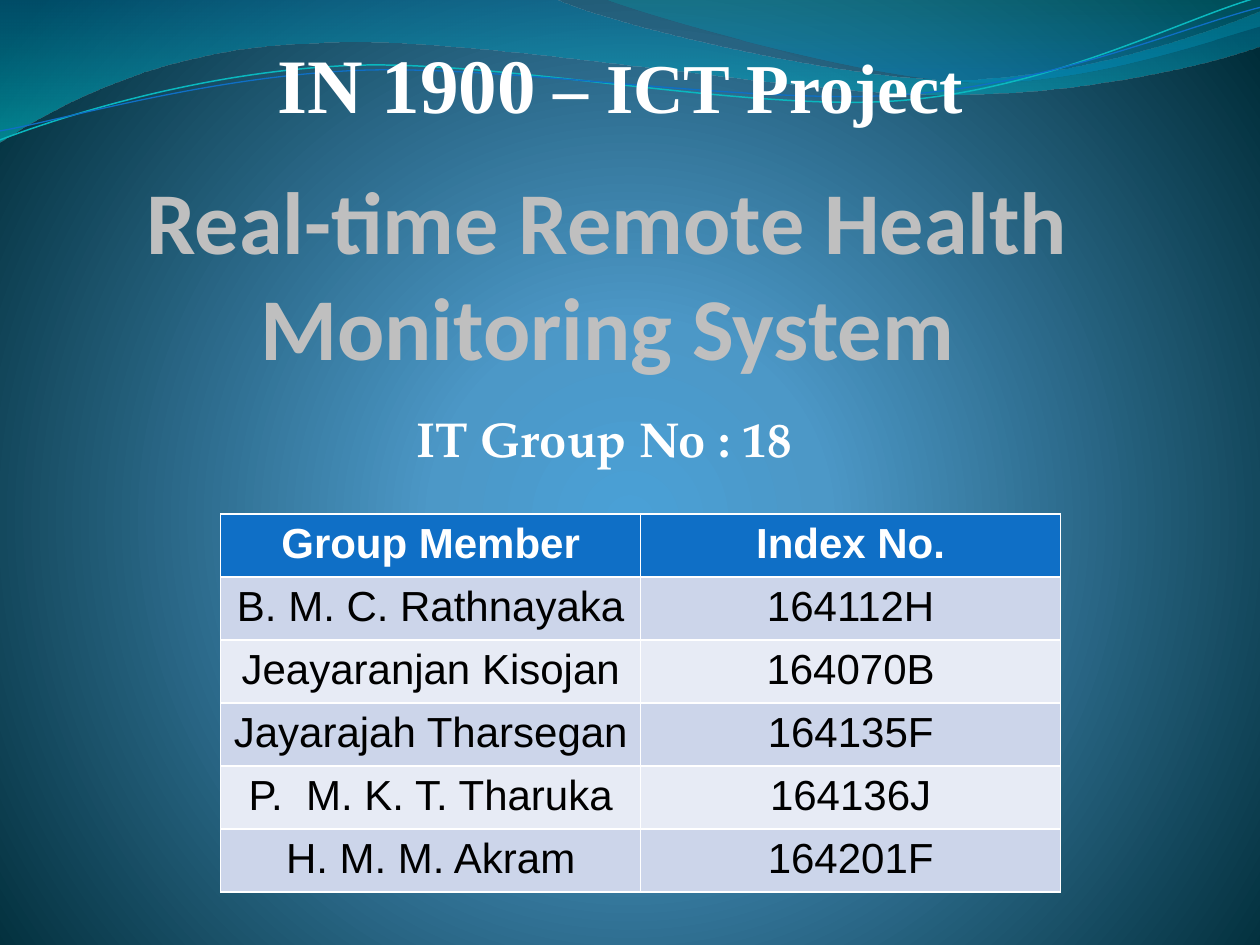
from math import cos, radians, sin

from lxml import etree
from pptx import Presentation
from pptx.dml.color import RGBColor
from pptx.enum.text import MSO_ANCHOR, PP_ALIGN
from pptx.oxml.ns import qn
from pptx.util import Cm, Pt

CENTER = PP_ALIGN.CENTER
TOP, BOTTOM = MSO_ANCHOR.TOP, MSO_ANCHOR.BOTTOM

WHITE = RGBColor(0xFF, 0xFF, 0xFF)
BLACK = RGBColor(0x00, 0x00, 0x00)
SILVER = RGBColor(0xBF, 0xBF, 0xBF)
BLUE = RGBColor(0x0F, 0x6F, 0xC6)
CYAN = RGBColor(0x0A, 0xB8, 0xBF)
ROW_DARK = RGBColor(0xCC, 0xD5, 0xEA)
ROW_LIGHT = RGBColor(0xE7, 0xEB, 0xF5)
SKY = RGBColor(0x4A, 0xA0, 0xD6)
STEEL = RGBColor(0x4C, 0x98, 0xC7)
NIGHT = RGBColor(0x00, 0x2C, 0x38)
DEEP = RGBColor(0x00, 0x74, 0xA1)
AQUA = RGBColor(0x00, 0xC6, 0xCF)
TEAL = RGBColor(0x00, 0xA1, 0xA9)
AZURE = RGBColor(0x00, 0x8B, 0xBF)

RIPPLE_TILT = -2.7
WAVES = [
    ([(0, 0), (11.18, -0.03), (12.09, 0.43, 16.87, 1.6, 19.25, 1.6),
      (21.67, 1.6, 24.33, 0.66, 25.4, 0.23), (25.43, 0.91),
      (24.97, 1.12, 22.1, 1.93, 18.95, 1.9), (15.8, 1.9, 9.7, 0.71, 6.53, 0.86),
      (3.28, 0.91, 1.17, 2.11, -0.03, 2.87), (0, 0)],
     [(0, DEEP, 45), (100, AQUA, 55)]),
    ([(12.17, -0.03), (12.93, 0.28, 17.32, 1.57, 19.53, 1.65),
      (21.74, 1.75, 24.41, 0.81, 25.4, 0.53), (25.4, 0), (12.17, -0.03)],
     [(0, TEAL, 30), (80, AZURE, 45)]),
]
RIPPLES = [
    ([(0, 2.82), (1.22, 2.36, 4.01, 1.45, 7.04, 1.32),
      (10.03, 1.19, 15.06, 2.26, 18.11, 2.03),
      (21.16, 1.8, 23.83, 0.38, 25.35, -0.05)], (12.67, 1.46), CYAN, 0.85),
    ([(0, 2.64), (1.19, 2.44, 4.17, 1.55, 7.19, 1.42),
      (10.24, 1.3, 15.16, 2.13, 18.21, 1.91),
      (21.23, 1.7, 23.9, 0.53, 25.4, 0.15)], (12.69, 1.5), BLUE, 0.75),
]
MEMBERS = [
    ("Group Member", "Index No."),
    ("B. M. C. Rathnayaka", "164112H"),
    ("Jeayaranjan Kisojan", "164070B"),
    ("Jayarajah Tharsegan", "164135F"),
    ("P.  M. K. T. Tharuka", "164136J"),
    ("H. M. M. Akram", "164201F"),
]


def set_gradient(fill, element, stops, circle=None):
    """Fill with (position, colour, opacity) stops, downwards or round a circle."""
    fill.gradient()
    grad = next(element.iter(qn("a:gradFill")))
    for child in list(grad):
        grad.remove(child)
    stop_list = etree.SubElement(grad, qn("a:gsLst"))
    for position, color, opacity in stops:
        gs = etree.SubElement(stop_list, qn("a:gs"), pos=str(position * 1000))
        clr = etree.SubElement(gs, qn("a:srgbClr"), val=str(color))
        if opacity < 100:
            etree.SubElement(clr, qn("a:alpha"), val=str(opacity * 1000))
    if circle:
        shade = etree.SubElement(grad, qn("a:path"), path="circle")
        sides = {side: str(value * 1000) for side, value in zip("ltrb", circle)}
        etree.SubElement(shade, qn("a:fillToRect"), **sides)
    else:
        etree.SubElement(grad, qn("a:lin"), ang="5400000", scaled="1")


def turn(segments, center, degrees):
    """Rotate segments clockwise about a centre."""
    cx, cy = center
    c, s = cos(radians(degrees)), sin(radians(degrees))
    turned = []
    for seg in segments:
        pairs = [(x - cx, y - cy) for x, y in zip(seg[::2], seg[1::2])]
        turned.append(tuple(v for x, y in pairs
                            for v in (cx + x * c - y * s, cy + x * s + y * c)))
    return turned


def add_curve(shapes, left, top, segments, close):
    """Draw a freeform of lines and cubic curves, in centimetres from the corner."""
    points = [(left + Cm(x), top + Cm(y))
              for seg in segments for x, y in zip(seg[::2], seg[1::2])]
    builder = shapes.build_freeform(*points[0])
    builder.add_line_segments(points[1:], close=close)
    sp = builder.convert_to_shape()
    sp.shadow.inherit = False
    lines = list(sp.element.iter(qn("a:lnTo")))
    for seg in segments[1:]:
        steps, lines = lines[:len(seg) // 2], lines[len(seg) // 2:]
        if len(steps) == 3:
            curve = etree.Element(qn("a:cubicBezTo"))
            steps[0].addprevious(curve)
            for step in steps:
                curve.append(step[0])
                step.getparent().remove(step)
    return sp


def add_backdrop(s, left, top):
    """Paint the background, the waves and the ripples along the top edge."""
    set_gradient(s.background.fill, s.element,
                 [(0, SKY, 100), (25, STEEL, 100), (100, NIGHT, 100)],
                 circle=(10, 110, 10, 100))
    for segments, stops in WAVES:
        sp = add_curve(s.shapes, left, top, segments, True)
        set_gradient(sp.fill, sp.element, stops)
        sp.line.fill.background()
    group = s.shapes.add_group_shape()
    for segments, center, color, width in RIPPLES:
        level = turn(segments, center, -RIPPLE_TILT)
        sp = add_curve(group.shapes, left, top, level, False)
        sp.rotation = RIPPLE_TILT
        sp.fill.background()
        sp.line.color.rgb = color
        sp.line.width = Pt(width)


def add_run(p, text, font, size, color, bold=True):
    """Add one formatted run to a paragraph."""
    r = p.add_run()
    r.text = text
    r.font.name = font
    r.font.size = Pt(size)
    r.font.bold = bold
    r.font.color.rgb = color


def add_heading(s, left, top, width, height, runs, font, color,
                anchor=TOP, inset=Cm(0.13), before=0, indent=Cm(0.13)):
    """Place a centred line of (text, size) runs in the given box."""
    tf = s.shapes.add_textbox(left, top, width, height).text_frame
    tf.word_wrap = True
    tf.vertical_anchor = anchor
    tf.margin_left, tf.margin_right = 0, Cm(0.05)
    tf.margin_top = tf.margin_bottom = inset
    p = tf.paragraphs[0]
    p.alignment = CENTER
    p.space_before = Pt(before)
    p._p.get_or_add_pPr().set("marR", str(indent))
    for text, size in runs:
        add_run(p, text, font, size, color)


def add_members(s, left, top, width, height, row_height):
    """Place the table of group members."""
    rows, cols = len(MEMBERS), len(MEMBERS[0])
    frame = s.shapes.add_table(rows, cols, left, top, width, height)
    for i, values in enumerate(MEMBERS):
        header = i == 0
        band = BLUE if header else (ROW_DARK if i % 2 else ROW_LIGHT)
        frame.table.rows[i].height = row_height
        for j, text in enumerate(values):
            cell = frame.table.cell(i, j)
            cell.fill.solid()
            cell.fill.fore_color.rgb = band
            p = cell.text_frame.paragraphs[0]
            p.alignment = CENTER
            add_run(p, text, "Arial", 24, WHITE if header else BLACK, header)
    frame.height = height


def main():
    """Build the title slide."""
    prs = Presentation()
    prs.slide_width, prs.slide_height = Cm(25.4), Cm(19.05)
    s = prs.slides.add_slide(prs.slide_layouts[6])
    add_backdrop(s, 0, 0)
    add_heading(s, Cm(2.74), Cm(3.38), Cm(19.05), Cm(4.24),
                [("Real-time Remote Health Monitoring System", 50.4)],
                "Calibri", SILVER, anchor=BOTTOM, inset=0, indent=0)
    add_heading(s, Cm(2.74), Cm(8.1), Cm(19.05), Cm(1.65),
                [("IT Group No : 18", 28)], "TeX Gyre Pagella", WHITE, before=5.6)
    add_members(s, Cm(4.45), Cm(10.36), Cm(16.93), Cm(7.62), Cm(1.04))
    add_heading(s, Cm(0.84), Cm(0.61), Cm(23.5), Cm(1.65),
                [("IN 1900", 44), (" – ICT Project", 40)],
                "Times New Roman", WHITE, before=8.8)
    prs.save("out.pptx")


if __name__ == "__main__":
    main()
